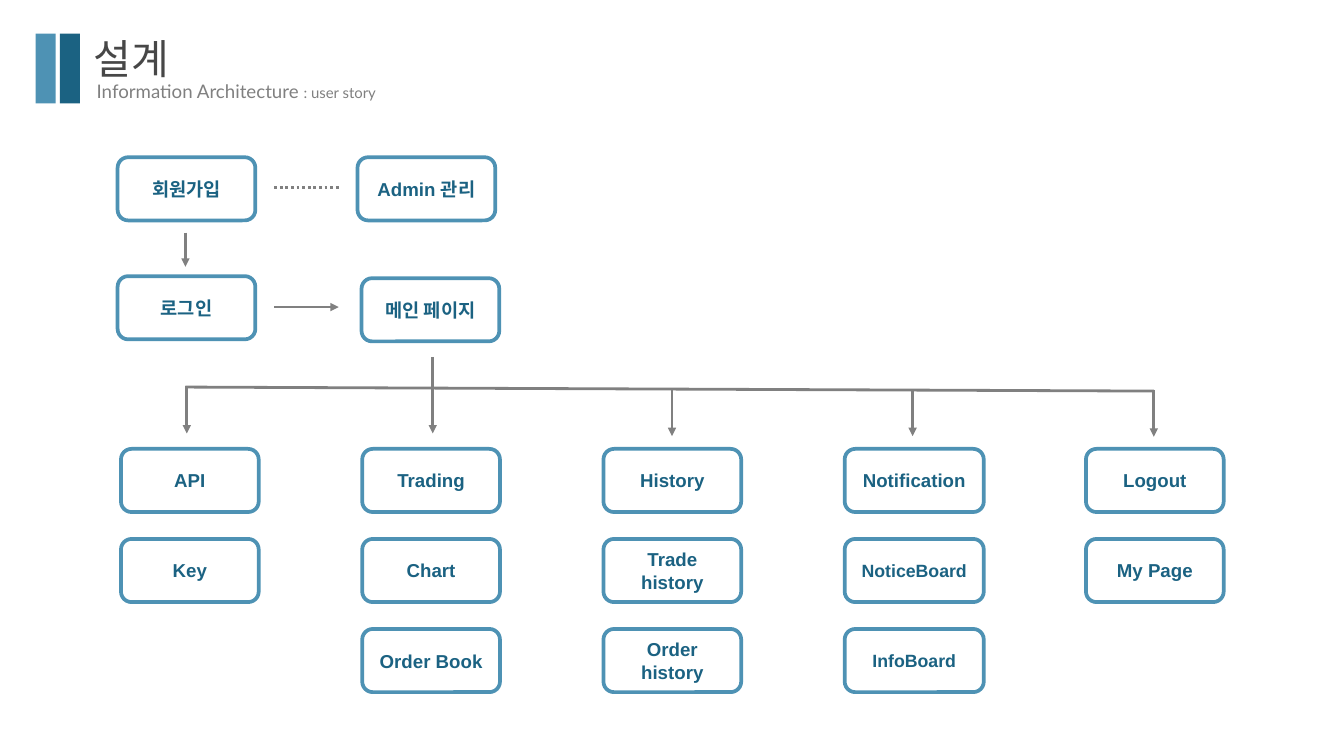
"""Builds the information architecture slide: a user story site map."""
from dataclasses import dataclass

from lxml.etree import SubElement
from pptx import Presentation
from pptx.dml.color import RGBColor
from pptx.enum.dml import MSO_LINE
from pptx.enum.shapes import MSO_CONNECTOR, MSO_SHAPE
from pptx.enum.text import MSO_ANCHOR, MSO_AUTO_SIZE, PP_ALIGN
from pptx.oxml.ns import qn
from pptx.util import Inches, Pt


@dataclass(frozen=True)
class Theme:
    light: RGBColor = RGBColor.from_string("4E92B4")
    dark: RGBColor = RGBColor.from_string("1B6282")
    grey: RGBColor = RGBColor.from_string("808080")
    ink: RGBColor = RGBColor.from_string("474747")
    title: int = 44
    body: int = 20
    compact: int = 19
    note: int = 16
    title_font: str = "Calibri"
    subtitle_font: str = "Lato"
    box_font: str = "Arial"


COLS, ROWS = 20, 11.25
BOX_W, WIDE_BOX_W, BOX_H = 2.05, 2.07, 0.94
BOX_X, BOX_STEP = 1.8, 3.59
MENU_Y, MENU_STEP = 6.68, 1.34
MARGINS = ("margin_left", "margin_top", "margin_right", "margin_bottom")

MENU = [
    (BOX_W, ["API", "Key"]),
    (BOX_W, ["Trading", "Chart", "Order Book"]),
    (BOX_W, ["History", "Trade\nhistory", "Order\nhistory"]),
    (WIDE_BOX_W, ["Notification", "NoticeBoard", "InfoBoard"]),
    (BOX_W, ["Logout", "My Page"]),
]
COMPACT = {"NoticeBoard", "InfoBoard"}
ENTRY = [
    ("회원가입", 1.75, 2.34),
    ("Admin 관리", 5.32, 2.34),
    ("로그인", 1.75, 4.11),
    ("메인 페이지", 5.38, 4.14),
]
DROPS = [(2.78, 5.75, 6.45), (6.44, 5.31, 6.45), (10, 5.78, 6.49),
         (13.58, 5.79, 6.49), (17.17, 5.8, 6.5)]


def apply(obj, values):
    """Set each named attribute of an object."""
    for name, value in values.items():
        setattr(obj, name, value)


class Deck:
    """Holds the theme and the current slide, and draws on its grid."""

    def __init__(self, prs, theme):
        self.theme = theme
        self.s = prs.slides.add_slide(prs.slide_layouts[6])
        self.cell_w = prs.slide_width / COLS
        self.cell_h = prs.slide_height / ROWS

    def place(self, x, y, w, h):
        return (round(x * self.cell_w), round(y * self.cell_h),
                round(w * self.cell_w), round(h * self.cell_h))

    def style(self, r, font, size, color, bold=False):
        apply(r.font, {"name": font, "size": Pt(size), "bold": bold})
        r.font.color.rgb = color

    def bar(self, x, y, w, h, color):
        sp = self.s.shapes.add_shape(MSO_SHAPE.RECTANGLE, *self.place(x, y, w, h))
        sp.shadow.inherit = False
        sp.fill.solid()
        sp.fill.fore_color.rgb = color
        sp.line.fill.background()

    def text(self, x, y, w, h, runs, inset=None, spacing=None):
        tf = self.s.shapes.add_textbox(*self.place(x, y, w, h)).text_frame
        apply(tf, {"word_wrap": True, "auto_size": MSO_AUTO_SIZE.SHAPE_TO_FIT_TEXT})
        if inset is not None:
            apply(tf, dict.fromkeys(MARGINS, inset))
        p = tf.paragraphs[0]
        if spacing:
            p.line_spacing = Pt(spacing)
        for words, *look in runs:
            r = p.add_run()
            r.text = words
            self.style(r, *look)

    def box(self, label, x, y, w=BOX_W):
        t = self.theme
        sp = self.s.shapes.add_shape(
            MSO_SHAPE.ROUNDED_RECTANGLE, *self.place(x, y, w, BOX_H))
        sp.shadow.inherit = False
        sp.fill.background()
        sp.line.color.rgb = t.light
        sp.line.width = Pt(4)
        tf = sp.text_frame
        apply(tf, {"word_wrap": False, "vertical_anchor": MSO_ANCHOR.MIDDLE})
        apply(tf, dict.fromkeys(MARGINS, Inches(0.2)))
        p = tf.paragraphs[0]
        apply(p, {"text": label, "alignment": PP_ALIGN.CENTER})
        size = t.compact if label in COMPACT else t.body
        for r in p.runs:
            self.style(r, t.box_font, size, t.dark, True)

    def line(self, x1, y1, x2, y2, arrow=True, dash=None):
        c = self.s.shapes.add_connector(
            MSO_CONNECTOR.STRAIGHT, *self.place(x1, y1, x2, y2))
        c.line.color.rgb = self.theme.grey
        apply(c.line, {"width": Pt(3), "dash_style": dash})
        if arrow:
            SubElement(c.line._get_or_add_ln(), qn("a:tailEnd"), type="triangle")
        SubElement(c._element.spPr, qn("a:effectLst"))


def main():
    prs = Presentation()
    apply(prs, {"slide_width": Inches(COLS), "slide_height": Inches(ROWS)})
    t = Theme()
    deck = Deck(prs, t)

    for x, color in ((0.53, t.light), (0.89, t.dark)):
        deck.bar(x, 0.5, 0.3, 1.04, color)
    deck.text(1.34, 1.14, 5, 0.44, [
        ("Information Architecture ", t.subtitle_font, t.body, t.grey),
        (": user story", t.subtitle_font, t.note, t.grey)])
    deck.text(1.39, 0.37, 3.86, 0.82,
              [("설계", t.title_font, t.title, t.ink)], inset=0, spacing=61.7)

    for entry in ENTRY:
        deck.box(*entry)
    for col, (width, labels) in enumerate(MENU):
        for row, label in enumerate(labels):
            deck.box(label, BOX_X + col * BOX_STEP, MENU_Y + row * MENU_STEP, width)

    deck.line(4.08, 2.79, 5.04, 2.79, arrow=False, dash=MSO_LINE.ROUND_DOT)
    deck.line(4.08, 4.57, 5.04, 4.57)
    deck.line(2.76, 3.46, 2.76, 3.97)
    deck.line(2.76, 5.76, 17.17, 5.82, arrow=False)
    for x, top, bottom in DROPS:
        deck.line(x, top, x, bottom)

    prs.save("out.pptx")


if __name__ == "__main__":
    main()
